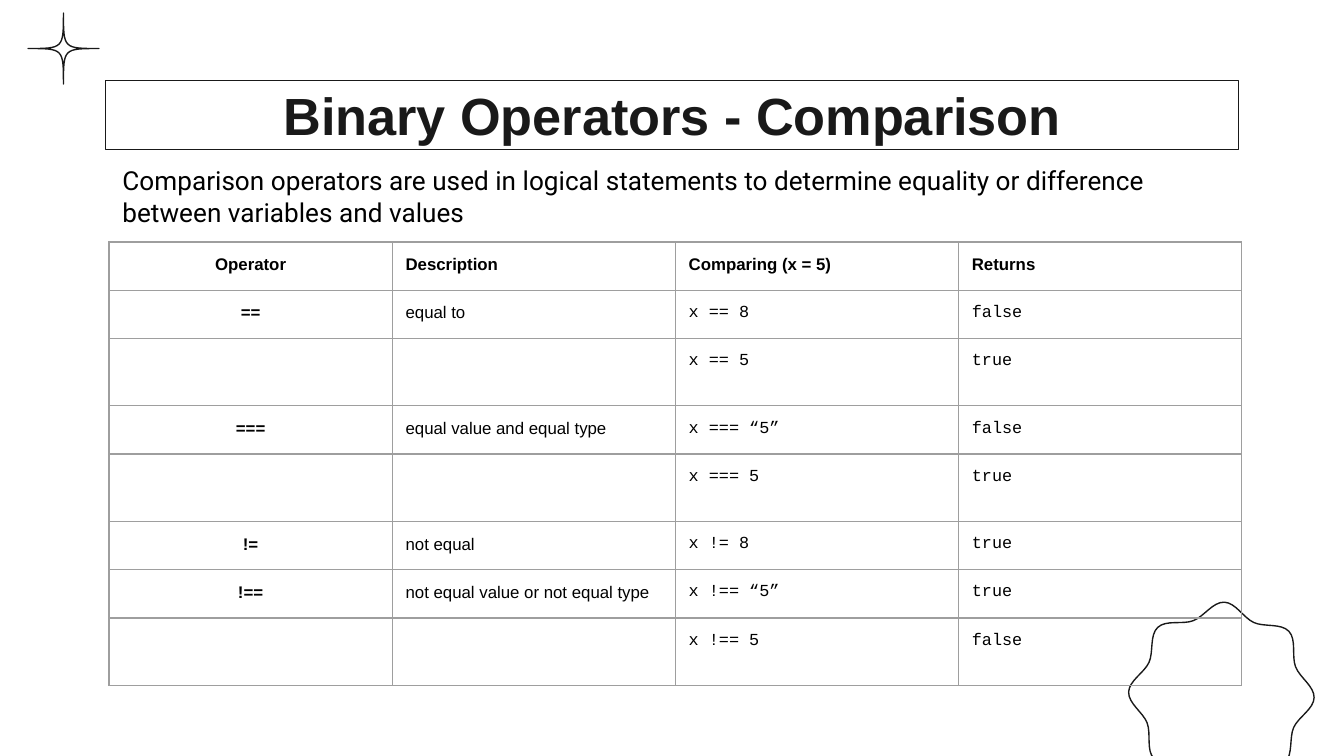
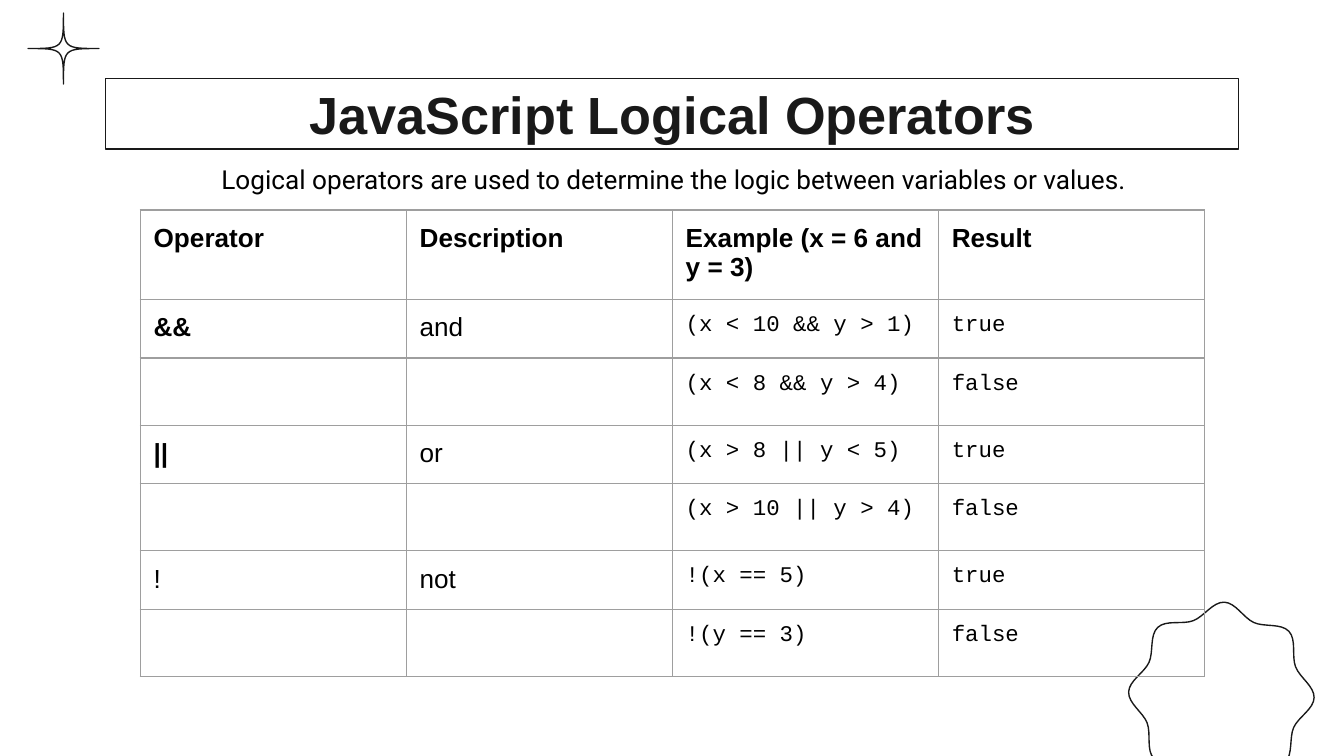
import math

import pptx
import pptx.dml.color
import pptx.enum.text
import pptx.oxml
import pptx.oxml.ns
import pptx.util

Pt = pptx.util.Pt
Align = pptx.enum.text.PP_ALIGN
NAMESPACE = pptx.oxml.ns.nsdecls("a")

COLORS = {"ink": "191919", "text": "000000", "grid": "9E9E9E"}
SANS, MONO, INTRO = "Arial", "Courier New", "Roboto"
LINE = 0.75
INSET = 7.2
STAR_BOX = (15, 7, 38, 38)
BADGE_BOX = (604.6, 322.6, 99.4, 99.4)

COMPARISON_ROWS = [
    ("Operator", "Description", "Comparing (x = 5)", "Returns"),
    ("==", "equal to", "x == 8", "false"),
    ("", "", "x == 5", "true"),
    ("===", "equal value and equal type", "x === “5”", "false"),
    ("", "", "x === 5", "true"),
    ("!=", "not equal", "x != 8", "true"),
    ("!==", "not equal value or not equal type", "x !== “5”", "true"),
    ("", "", "x !== 5", "false"),
]
LOGICAL_ROWS = [
    ("Operator", "Description", "Example (x = 6 and y = 3)", "Result"),
    ("&&", "and", "(x < 10 && y > 1)", "true"),
    ("", "", "(x < 8 && y > 4)", "false"),
    ("||", "or", "(x > 8 || y < 5)", "true"),
    ("", "", "(x > 10 || y > 4)", "false"),
    ("!", "not", "!(x == 5)", "true"),
    ("", "", "!(y == 3)", "false"),
]


def rgb(name):
    """Return the named colour."""
    return pptx.dml.color.RGBColor.from_string(COLORS[name])


def style(paragraph, font_name, size, color="text", bold=False, align=Align.LEFT):
    """Set the font and alignment of a paragraph."""
    paragraph.alignment = align
    font = paragraph.font
    font.name, font.size, font.bold = font_name, Pt(size), bold
    font.color.rgb = rgb(color)


def set_insets(frame):
    """Give a text frame or a cell the same inset on every side."""
    frame.margin_left = frame.margin_right = Pt(INSET)
    frame.margin_top = frame.margin_bottom = Pt(INSET)


def outline(shape):
    """Leave a shape unfilled with a thin dark line."""
    shape.fill.background()
    shape.line.color.rgb = rgb("ink")
    shape.line.width = Pt(LINE)


def place(shape, box):
    """Move and size a shape to a box."""
    shape.left, shape.top, shape.width, shape.height = map(Pt, box)


def star_curves():
    """Return the four curves of a star, all drawn in to its centre."""
    tips = [(0, 1), (-1, 0), (0, -1), (1, 0), (0, 1)]
    return [(start, (0, 0), (0, 0), end) for start, end in zip(tips, tips[1:])]


def badge_curves(waves=8, valley=0.855, handle=0.123, tilt=0.03):
    """Return the curves of a wavy circle, from peak to valley to peak."""
    anchors = []
    for index in range(2 * waves + 1):
        angle = tilt + math.pi * index / waves
        cos, sin = math.cos(angle), math.sin(angle)
        radius = valley if index % 2 else 1
        anchors.append([(radius * cos - shift * sin, radius * sin + shift * cos)
                        for shift in (-handle, 0, handle)])
    return [(start[1], start[2], end[0], end[1])
            for start, end in zip(anchors, anchors[1:])]


def draw_ornament(slide, layout, box, unit_curves):
    """Draw closed curves scaled to a box and hand the shape to the layout."""
    left, top, width, height = box
    curves = [[(Pt(left + width * (1 + x) / 2), Pt(top + height * (1 + y) / 2))
               for x, y in curve] for curve in unit_curves]
    builder = slide.shapes.build_freeform(*curves[0][0])
    builder.add_line_segments([curve[-1] for curve in curves], close=True)
    ornament = builder.convert_to_shape()
    ornament.shadow.inherit = False
    outline(ornament)
    segments = list(ornament._element.iter(pptx.oxml.ns.qn("a:lnTo")))
    for segment, curve in zip(segments, curves):
        points = "".join(f'<a:pt x="{x - ornament.left}" y="{y - ornament.top}"/>'
                         for x, y in curve[1:])
        segment.getparent().replace(segment, pptx.oxml.parse_xml(
            f"<a:cubicBezTo {NAMESPACE}>{points}</a:cubicBezTo>"))
    layout.shapes._spTree.append(ornament._element)


def draw_title(slide, box, text):
    """Place the framed title."""
    title = slide.shapes.title
    place(title, box)
    outline(title)
    frame = title.text_frame
    frame.text = text
    frame.word_wrap = True
    frame.auto_size = pptx.enum.text.MSO_AUTO_SIZE.NONE
    frame.vertical_anchor = pptx.enum.text.MSO_ANCHOR.MIDDLE
    set_insets(frame)
    style(frame.paragraphs[0], SANS, 28, "ink", True, Align.CENTER)


def draw_intro(slide, box, text, align):
    """Place the sentence under the title."""
    frame = slide.shapes.add_textbox(*map(Pt, box)).text_frame
    frame.text = text
    frame.word_wrap = True
    set_insets(frame)
    style(frame.paragraphs[0], INTRO, 14, align=align)


def draw_borders(cell):
    """Draw a thin line on each side of a cell."""
    properties = cell._tc.get_or_add_tcPr()
    for side in ("lnL", "lnR", "lnT", "lnB"):
        properties.append(pptx.oxml.parse_xml(
            f'<a:{side} {NAMESPACE} w="{Pt(LINE)}"><a:solidFill>'
            f'<a:srgbClr val="{COLORS["grid"]}"/></a:solidFill></a:{side}>'))


def draw_operators(slide, box, rows, text_size, code_size, operator_align):
    """Draw the operator table with code in its last two columns."""
    frame = slide.shapes.add_table(len(rows), len(rows[0]), *map(Pt, box))
    table = frame.table
    table.first_row = table.horz_banding = False
    for r, row in enumerate(rows):
        for c, text in enumerate(row):
            cell = table.cell(r, c)
            cell.text = text
            set_insets(cell)
            draw_borders(cell)
            cell.fill.background()
            is_code = r > 0 and c >= 2
            size = code_size if is_code else text_size if text else 18
            bold = r == 0 or (c == 0 and text != "!")
            style(cell.text_frame.paragraphs[0], MONO if is_code else SANS, size,
                  bold=bold, align=operator_align if c == 0 else Align.LEFT)


def main():
    """Build and save the two slides."""
    deck = pptx.Presentation()
    deck.slide_width, deck.slide_height = Pt(720), Pt(405)
    layout = deck.slide_layouts[5]

    comparison = deck.slides.add_slide(layout)
    draw_ornament(comparison, layout, BADGE_BOX, badge_curves())
    draw_ornament(comparison, layout, STAR_BOX, star_curves())
    draw_title(comparison, (56.6, 43.2, 606.8, 36.9),
               "Binary Operators - Comparison")
    draw_intro(comparison, (58.5, 81.1, 606.8, 48.2),
               "Comparison operators are used in logical statements to determine "
               "equality or difference between variables and values", Align.LEFT)
    draw_operators(comparison, (58.4, 129.6, 606.8, 207.2), COMPARISON_ROWS,
                   9, 9, Align.CENTER)

    logical = deck.slides.add_slide(layout)
    draw_title(logical, (56.6, 42.2, 606.8, 37.6),
               "JavaScript Logical Operators")
    draw_intro(logical, (57.6, 80.6, 606.8, 31.7),
               "Logical operators are used to determine the logic between "
               "variables or values.", Align.CENTER)
    draw_operators(logical, (75.1, 112.5, 570.2, 211.7), LOGICAL_ROWS,
                   14, 12, Align.LEFT)

    deck.save("out.pptx")


if __name__ == "__main__":
    main()
